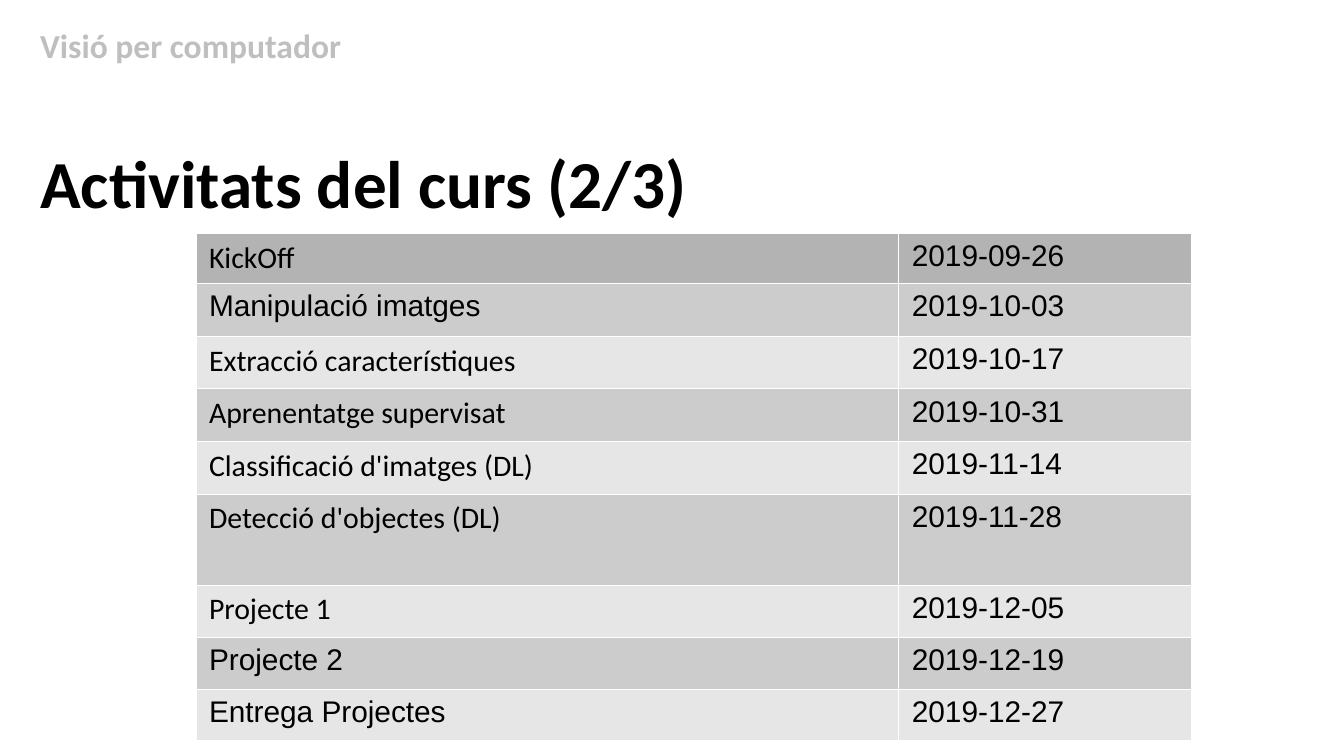
import pptx
import pptx.util
import pptx.dml.color
import pptx.enum.text
import pptx.oxml
import pptx.oxml.ns
from dataclasses import dataclass

Pt = pptx.util.Pt


@dataclass(frozen=True)
class Theme:
    head: str = "Calibri"
    body: str = "Arial"
    ink: str = "000000"
    pale: str = "BFBFBF"
    line: str = "FFFFFF"
    top: str = "B3B3B3"
    bands: tuple = ("CCCCCC", "E6E6E6")
    title: int = 36
    label: int = 18
    cell: int = 16
    rule: float = 0.06


class Deck:
    def __init__(self, theme, width, height):
        self.theme = theme
        self.file = pptx.Presentation()
        self.file.slide_width = Pt(width)
        self.file.slide_height = Pt(height)
        self.slide = self.file.slides.add_slide(self.file.slide_layouts[5])

    def letter(self, frame, text, font, size, color, bold=False):
        """Set one left-aligned line of text in the frame."""
        frame.text = text
        frame.word_wrap = True
        para = frame.paragraphs[0]
        para.alignment = pptx.enum.text.PP_ALIGN.LEFT
        face = para.runs[0].font
        face.name, face.size, face.bold = font, Pt(size), bold
        face.color.rgb = pptx.dml.color.RGBColor.from_string(color)

    def place(self, shape, box, text, size, color):
        """Put a bold heading at box: left, top, width, height."""
        shape.left, shape.top, shape.width, shape.height = map(Pt, box)
        frame = shape.text_frame
        frame.auto_size = pptx.enum.text.MSO_AUTO_SIZE.NONE
        frame.vertical_anchor = pptx.enum.text.MSO_ANCHOR.TOP
        self.letter(frame, text, self.theme.head, size, color, True)

    def title(self, box, text):
        self.place(self.slide.shapes.title, box, text,
                   self.theme.title, self.theme.ink)

    def label(self, box, text):
        shape = self.slide.shapes.add_textbox(*map(Pt, box))
        self.place(shape, box, text, self.theme.label, self.theme.pale)

    def edge(self, cell):
        """Rule all four sides; the lines must come before the fill."""
        space = pptx.oxml.ns.nsdecls("a")
        props = cell._tc.get_or_add_tcPr()
        for spot, side in enumerate("LRTB"):
            props.insert(spot, pptx.oxml.parse_xml(
                f'<a:ln{side} {space} w="{int(Pt(self.theme.rule))}"><a:solidFill>'
                f'<a:srgbClr val="{self.theme.line}"/>'
                f'</a:solidFill></a:ln{side}>'))

    def table(self, left, top, cols, rows):
        """Each row is (height, task, task font, date)."""
        high = sum(row[0] for row in rows)
        grid = self.slide.shapes.add_table(
            len(rows), len(cols), Pt(left), Pt(top), Pt(sum(cols)), Pt(high)).table
        for col, width in zip(grid.columns, cols):
            col.width = Pt(width)
        for num, (height, task, font, date) in enumerate(rows):
            grid.rows[num].height = Pt(height)
            fill = self.theme.bands[(num - 1) % 2] if num else self.theme.top
            pairs = ((task, font), (date, self.theme.body))
            for cell, (text, face) in zip(grid.rows[num].cells, pairs):
                self.letter(cell.text_frame, text, face,
                            self.theme.cell, self.theme.ink)
                cell.fill.solid()
                cell.fill.fore_color.rgb = pptx.dml.color.RGBColor.from_string(fill)
                self.edge(cell)


def main():
    theme = Theme()
    deck = Deck(theme, 720, 405)
    deck.label((14.4, 10, 578, 29), "Visió per computador")
    deck.title((14.4, 72, 578, 50.4), "Activitats del curs (2/3)")
    deck.table(104.8, 125, (376.5, 156.8), [
        (26.3, "KickOff", theme.head, "2019-09-26"),
        (28.2, "Manipulació imatges", theme.body, "2019-10-03"),
        (28.2, "Extracció característiques", theme.head, "2019-10-17"),
        (28.2, "Aprenentatge supervisat", theme.head, "2019-10-31"),
        (28.2, "Classificació d'imatges (DL)", theme.head, "2019-11-14"),
        (48.8, "Detecció d'objectes (DL)", theme.head, "2019-11-28"),
        (28.2, "Projecte 1", theme.head, "2019-12-05"),
        (27.5, "Projecte 2", theme.body, "2019-12-19"),
        (27.5, "Entrega Projectes", theme.body, "2019-12-27"),
    ])
    deck.file.save("out.pptx")


if __name__ == "__main__":
    main()
